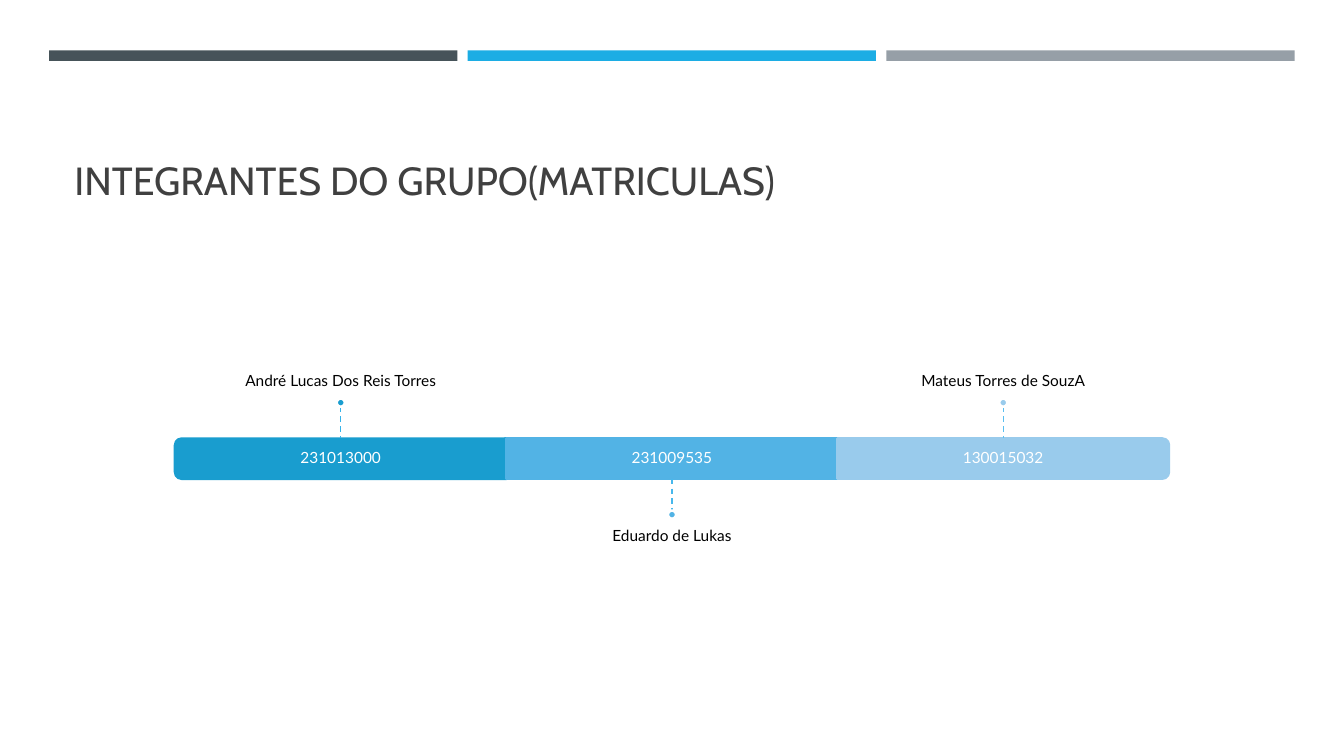
from dataclasses import dataclass

from lxml import etree
from pptx import Presentation
from pptx.dml.color import RGBColor
from pptx.enum.dml import MSO_LINE
from pptx.enum.shapes import MSO_CONNECTOR, MSO_SHAPE
from pptx.enum.text import MSO_ANCHOR, PP_ALIGN
from pptx.oxml.ns import qn
from pptx.util import Pt

RECT, ROUND, OVAL = MSO_SHAPE.RECTANGLE, MSO_SHAPE.ROUND_2_SAME_RECTANGLE, MSO_SHAPE.OVAL
STRAIGHT, DASH = MSO_CONNECTOR.STRAIGHT, MSO_LINE.DASH
TOP, MIDDLE, BOTTOM = MSO_ANCHOR.TOP, MSO_ANCHOR.MIDDLE, MSO_ANCHOR.BOTTOM
LEFT, CENTER = PP_ALIGN.LEFT, PP_ALIGN.CENTER


@dataclass(frozen=True)
class Theme:
    """Colours, fonts and type sizes of the slide."""

    white: str = "FFFFFF"
    black: str = "000000"
    title: str = "404040"
    bands: tuple = ("465359", "1CADE4", "969FA7")
    bars: tuple = ("199DCF", "52B3E5", "99CBEC")
    stems: tuple = ("36B3E9", "48B8EC", "5ABEEF")
    head: str = "Cabin"
    body: str = "Lato"
    large: float = 28
    small: float = 11
    edge: float = 1.75


class Painter:
    """Draws styled elements on the current slide."""

    def __init__(self, slide, theme):
        self.shapes = slide.shapes
        self.theme = theme

    def shape(self, kind, x, y, w, h, fill, line=None, turn=0):
        """Add a filled shape, outlined when a line colour is given."""
        item = self.shapes.add_shape(kind, Pt(x), Pt(y), Pt(w), Pt(h))
        item.shadow.inherit = False
        item.rotation = turn
        item.fill.solid()
        item.fill.fore_color.rgb = RGBColor.from_string(fill)
        if line:
            item.line.color.rgb = RGBColor.from_string(line)
            item.line.width = Pt(self.theme.edge)
        else:
            item.line.fill.background()

    def text(self, words, x, y, w, h, color, font, size, anchor,
             align=CENTER, inset=(0, 0, 0, 0), space=0.9):
        """Add a text box holding one run; insets go left, top, right, bottom."""
        frame = self.shapes.add_textbox(Pt(x), Pt(y), Pt(w), Pt(h)).text_frame
        frame.word_wrap = True
        frame.vertical_anchor = anchor
        (frame.margin_left, frame.margin_top,
         frame.margin_right, frame.margin_bottom) = map(Pt, inset)
        para = frame.paragraphs[0]
        para.alignment = align
        para.line_spacing = space
        run = para.add_run()
        run.text = words
        run.font.name = font
        run.font.size = Pt(size)
        run.font.color.rgb = RGBColor.from_string(color)

    def stem(self, x, start, end, color):
        """Add a dashed vertical line."""
        line = self.shapes.add_connector(STRAIGHT, Pt(x), Pt(start), Pt(x), Pt(end))
        line.line.color.rgb = RGBColor.from_string(color)
        line.line.width = Pt(1)
        line.line.dash_style = DASH
        etree.SubElement(line._element.spPr, qn("a:effectLst"))

    def bar(self, mid, y, w, h, color, turn):
        """Add a bar; a turned one has two rounded corners at its outer end."""
        if turn:
            self.shape(ROUND, mid - h / 2, y + h / 2 - w / 2, h, w, color, color, turn)
        else:
            self.shape(RECT, mid - w / 2, y, w, h, color, color)

    def member(self, name, code, mid, color, stem, turn, above):
        """Add one person's bar, number, stem, dot and name."""
        look = self.theme
        top, wide, high, reach, dot = 313.2, 236.8, 28.8, 22.7, 5.8
        self.bar(mid, top, wide, high, color, turn)
        self.text(code, mid - wide / 2, top, wide, high, look.white, look.body,
                  look.small, MIDDLE, inset=(6.5,) * 4)
        box, room = 394.6, 100
        if above:
            start, end = top - reach, top
            spot = start - dot
            label, anchor, inset = spot - room, BOTTOM, (0, 0, 0, 6.5)
        else:
            start, end = top + high, top + high + reach
            spot = end
            label, anchor, inset = spot + dot, TOP, (0, 6.5, 0, 0)
        self.text(name, mid - box / 2, label, box, room, look.black, look.body,
                  look.small, anchor, inset=inset)
        self.stem(mid, start, end, stem)
        self.shape(OVAL, mid - dot / 2, spot, dot, dot, color, look.white)


def main():
    """Build the slide and save it."""
    deck = Presentation()
    deck.slide_width, deck.slide_height = Pt(960), Pt(540)
    theme = Theme()
    pen = Painter(deck.slides.add_slide(deck.slide_layouts[6]), theme)
    for spot, color in enumerate(theme.bands):
        pen.shape(RECT, 35.1 + spot * 299, 36, 291.6, 7.5, color)
    pen.text("INTEGRANTES DO GRUPO(MATRICULAS)", 46.1, 55.4, 868.3, 93.6,
             theme.title, theme.head, theme.large, BOTTOM, LEFT,
             (7.2, 3.6, 7.2, 3.6), 1)
    people = (
        ("André Lucas Dos Reis Torres", "231013000", 270, True),
        ("Eduardo de Lukas", "231009535", 0, False),
        ("Mateus Torres de SouzA", "130015032", 90, True),
    )
    for spot, (name, code, turn, above) in enumerate(people):
        pen.member(name, code, 243.4 + spot * 236.6, theme.bars[spot],
                   theme.stems[spot], turn, above)
    deck.save("out.pptx")


if __name__ == "__main__":
    main()
